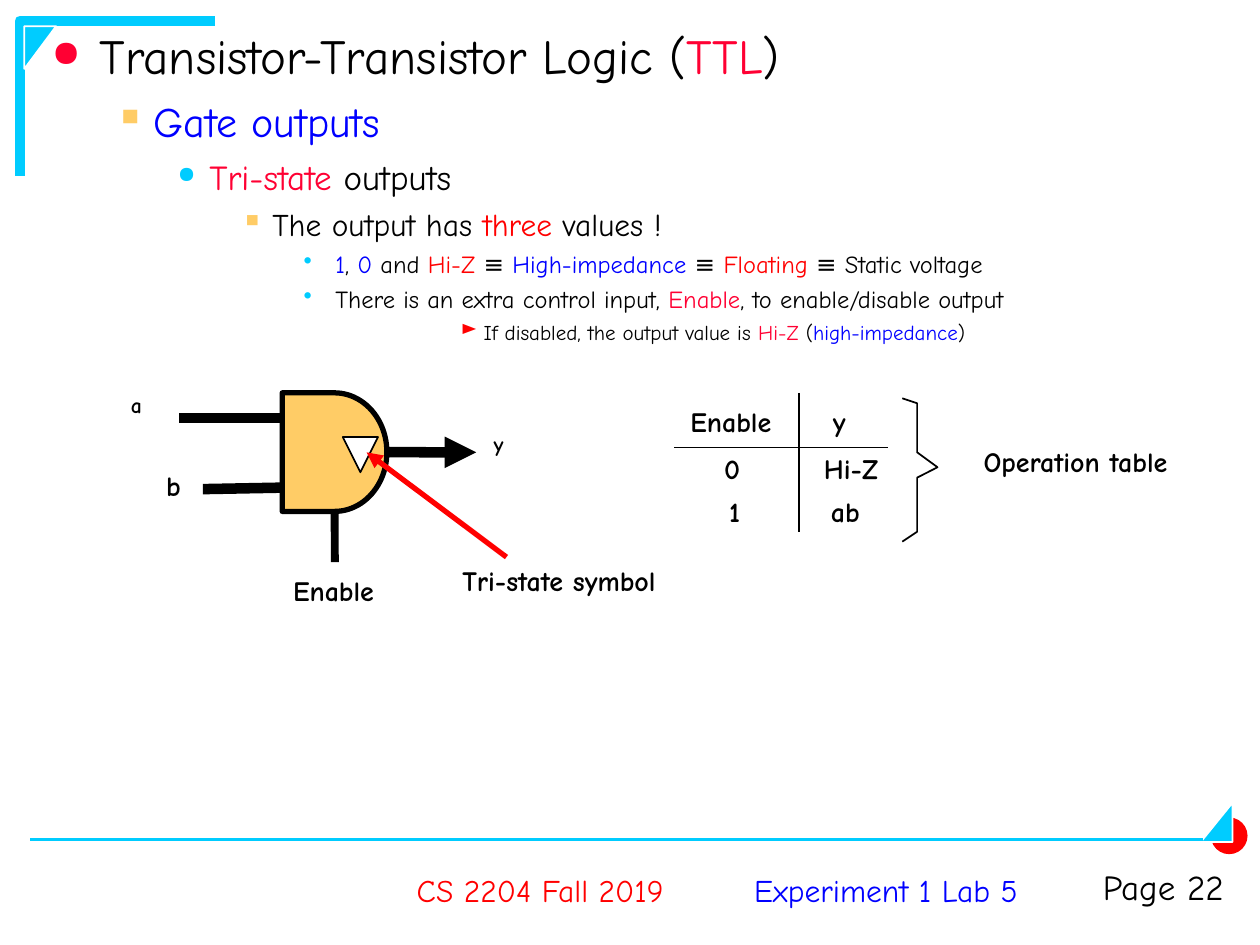
"""Build the slide on tri-state TTL gate outputs."""
from lxml.etree import SubElement
from pptx import Presentation
from pptx.dml.color import RGBColor
from pptx.enum.shapes import MSO_CONNECTOR, MSO_SHAPE
from pptx.enum.text import MSO_ANCHOR, PP_ALIGN
from pptx.oxml.ns import qn
from pptx.util import Cm, Pt

FONT = "Comic Neue"
BLACK, WHITE, RED, CRIMSON = "000000", "FFFFFF", "FF0000", "FF0033"
BLUE, CYAN, AMBER = "0000FF", "00CCFF", "FFCC66"

# level, size, space before, margin, hanging, bullet (char, colour, percent), runs
OUTLINE = [
    (0, 28, 0, 0.97, 0.97, ("●", CRIMSON, 75),
     [("Transistor-Transistor Logic (", BLACK), ("TTL", CRIMSON), (")", BLACK)]),
    (1, 24, 6, 2.06, 0.79, ("▪", AMBER, 100), [("Gate outputs", BLUE)]),
    (2, 20, 5, 3.18, 0.64, ("●", CYAN, 65),
     [("Tri-state", CRIMSON), (" outputs", BLACK)]),
    (3, 18, 4.5, 4.45, 0.64, ("▪", AMBER, 100),
     [("The output has ", BLACK), ("three", RED), (" values !", BLACK)]),
    (4, 14, 3.5, 5.72, 0.64, ("•", CYAN, 100),
     [("1", BLUE), (", ", BLACK), ("0 ", BLUE), ("and", BLACK), (" Hi-Z ", RED),
      ("≡ ", BLACK), ("High-impedance", BLUE), (" ≡ ", BLACK),
      ("Floating ", RED), ("≡ Static voltage", BLACK)]),
    (4, 14, 3.5, 5.72, 0.64, ("•", CYAN, 100),
     [("There is an extra control input, ", BLACK), ("Enable", CRIMSON),
      (", to enable/disable output", BLACK)]),
    (4, 12, 3, 8.71, 0.46, ("►", RED, 100),
     [("If disabled, the output value is ", BLACK), ("Hi-Z ", CRIMSON),
      ("(", BLACK), ("high-impedance", BLUE), (")", BLACK)]),
]
FOOTER = [
    ("Experiment 1 Lab 5", (14.61, 17.12, 6.5, 1.63), 18, BLUE, PP_ALIGN.CENTER, MSO_ANCHOR.MIDDLE),
    ("CS 2204 Fall 2019", (7.59, 17.12, 6.6, 1.63), 18, RED, PP_ALIGN.CENTER, MSO_ANCHOR.MIDDLE),
    ("Page 22", (21.21, 17.32, 3.71, 1.42), 20, BLACK, PP_ALIGN.RIGHT, MSO_ANCHOR.TOP),
]
PINS = [
    ("a", (2.39, 7.92, 1.02, 0.64), 12.4, 0.7),
    ("b", (3.1, 9.45, 1.27, 0.84), 16, 0.8),
    ("y", (9.7, 8.71, 1.02, 0.64), 12.4, 0.7),
]
LABELS = [
    ("Tri-state symbol", 9.07, 11.23, 4.42), ("Enable", 5.66, 11.43, 2.13),
    ("Enable", 13.67, 8.03, 2.13), ("y", 16.54, 8.03, 0.76),
    ("0", 14.35, 8.97, 0.81), ("Hi-Z", 16.36, 8.97, 1.6),
    ("1", 14.45, 9.84, 0.71), ("ab", 16.5, 9.84, 1.1),
    ("Operation table", 19.58, 8.84, 4.24),
]
CORNER = [(0.4, 3.54), (0.4, 0.42), (4.34, 0.42)]
NOTCH = [(24.85, 16.41), (24.85, 16.97), (24.45, 16.97)]
BRACE = [(18.19, 8.03), (18.49, 8.13), (18.49, 9.12), (18.9, 9.42),
         (18.49, 9.63), (18.49, 10.72), (18.19, 10.92)]


def rgb(color):
    return RGBColor.from_string(color)


def add_shape(kind, box, fill, line=None, width=1, rotation=0):
    sp = s.shapes.add_shape(kind, *map(Cm, box))
    sp.shadow.inherit = False
    sp.rotation = rotation
    sp.fill.solid()
    sp.fill.fore_color.rgb = rgb(fill)
    if line:
        sp.line.color.rgb = rgb(line)
        sp.line.width = Pt(width)
    else:
        sp.line.fill.background()
    return sp


def add_path(points, color, width):
    pts = [(Cm(x), Cm(y)) for x, y in points]
    fb = s.shapes.build_freeform(*pts[0])
    fb.add_line_segments(pts[1:], close=False)
    sp = fb.convert_to_shape()
    sp.shadow.inherit = False
    sp.fill.background()
    sp.line.color.rgb = rgb(color)
    sp.line.width = Pt(width)


def add_line(start, end, color, width, arrow=False):
    cx = s.shapes.add_connector(MSO_CONNECTOR.STRAIGHT, *map(Cm, start + end))
    cx.line.color.rgb = rgb(color)
    cx.line.width = Pt(width)
    if arrow:
        SubElement(cx.line._get_or_add_ln(), qn("a:tailEnd"), type="triangle")
    SubElement(cx._element.spPr, qn("a:effectLst"))
    return cx


def style(r, size, color, bold=False):
    r.font.name, r.font.size, r.font.bold = FONT, Pt(size), bold
    r.font.color.rgb = rgb(color)


def add_text(text, box, size, color=BLACK, align=PP_ALIGN.LEFT,
             anchor=MSO_ANCHOR.TOP, bold=False, wrap=True, spacing=None):
    tf = s.shapes.add_textbox(*map(Cm, box)).text_frame
    tf.word_wrap, tf.vertical_anchor = wrap, anchor
    p = tf.paragraphs[0]
    p.text, p.alignment, p.line_spacing = text, align, spacing
    style(p.runs[0], size, color, bold)


def add_outline():
    tf = s.shapes.add_textbox(Cm(0.53), Cm(0.53), Cm(24.33), Cm(16.41)).text_frame
    tf.word_wrap = True
    tf.margin_left = tf.margin_right = Cm(0.51)
    for i, (level, size, before, margin, hang, bullet, runs) in enumerate(OUTLINE):
        p = tf.add_paragraph() if i else tf.paragraphs[0]
        char, color, percent = bullet
        pPr = p._p.get_or_add_pPr()
        pPr.set("marL", str(Cm(margin)))
        pPr.set("indent", str(-Cm(hang)))
        SubElement(SubElement(pPr, qn("a:buClr")), qn("a:srgbClr"), val=color)
        SubElement(pPr, qn("a:buSzPct"), val=str(percent * 1000))
        SubElement(pPr, qn("a:buChar"), char=char)
        p.level = level
        if i:
            p.space_before = Pt(before)
        else:
            p.line_spacing = 0.9
        for text, run_color in runs:
            r = p.add_run()
            r.text = text
            style(r, size, run_color)


def add_frame():
    add_path(CORNER, CYAN, 6)
    add_shape(MSO_SHAPE.RIGHT_TRIANGLE, (0.38, 0.64, 0.86, 0.64), CYAN, WHITE, rotation=90)
    add_shape(MSO_SHAPE.OVAL, (24.41, 16.48, 0.74, 0.74), RED)
    add_shape(MSO_SHAPE.RIGHT_TRIANGLE, (24.13, 16.26, 0.79, 0.64), CYAN, WHITE, rotation=270)
    add_path(NOTCH, WHITE, 0.75)
    add_line((0.61, 16.92), (24.26, 16.92), CYAN, 1.5)


def add_gate():
    gate = add_shape(MSO_SHAPE.FLOWCHART_DELAY, (5.69, 7.92, 2.11, 2.39), AMBER, BLACK, 3)
    add_line((4.09, 9.86), (5.69, 9.83), BLACK, 6)
    add_line((3.61, 8.43), (5.69, 8.43), BLACK, 6)
    add_line((7.8, 9.12), (9.6, 9.12), BLACK, 6, True).begin_connect(gate, 3)
    add_shape(MSO_SHAPE.ISOSCELES_TRIANGLE, (6.91, 8.81, 0.71, 0.71), WHITE, BLACK, rotation=180)
    add_line((6.75, 10.31), (6.75, 11.33), BLACK, 4.5).begin_connect(gate, 2)
    add_line((10.21, 11.23), (7.39, 9.12), RED, 3, True)


prs = Presentation()
prs.slide_width, prs.slide_height = Cm(25.4), Cm(19.05)
s = prs.slides.add_slide(prs.slide_layouts[6])
add_frame()
add_outline()
for entry in FOOTER:
    add_text(*entry)
add_gate()
add_line((13.59, 9.02), (17.91, 9.02), BLACK, 1)
add_line((16.1, 7.92), (16.1, 10.72), BLACK, 1)
add_path(BRACE, BLACK, 1)
for text, box, size, spacing in PINS:
    add_text(text, box, size, bold=True, spacing=spacing)
for text, x, y, w in LABELS:
    add_text(text, (x, y, w, 0.94), 16, bold=True, wrap=False)
prs.save("out.pptx")
